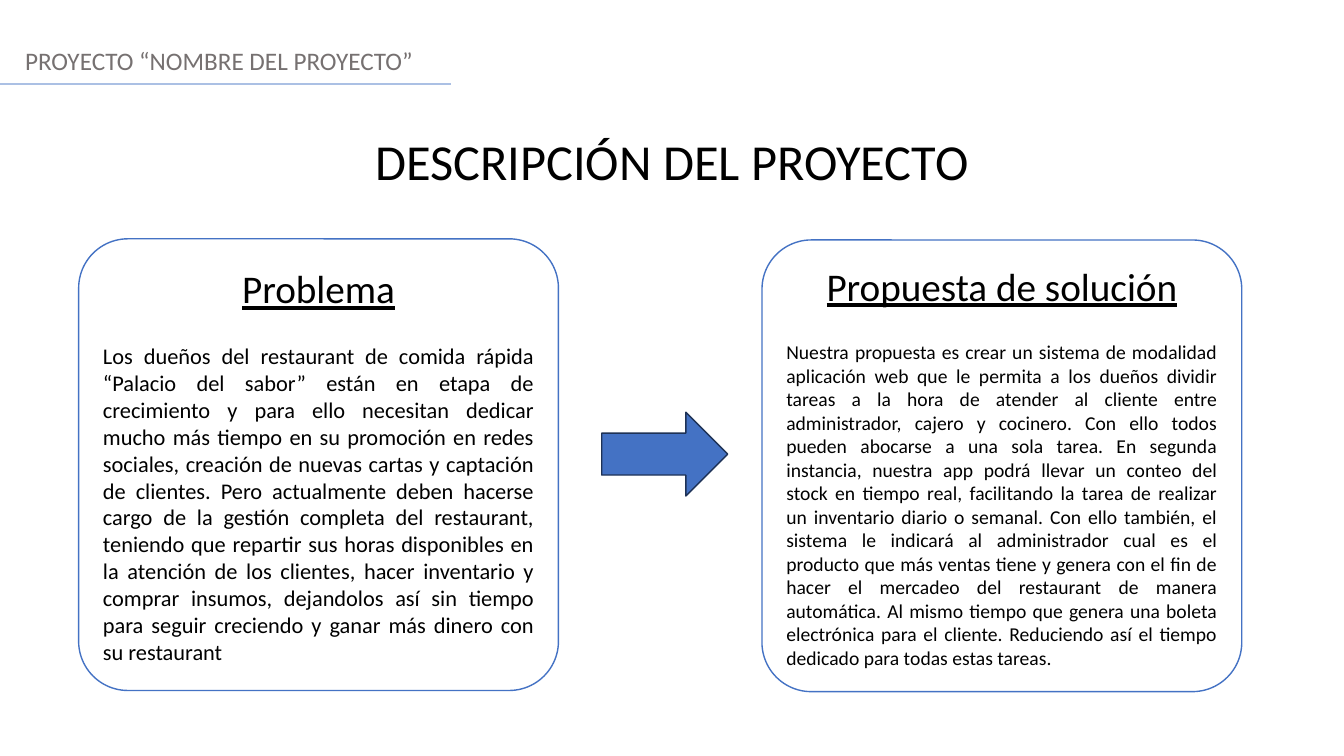
from dataclasses import dataclass

from lxml.etree import SubElement
from pptx import Presentation
from pptx.dml.color import RGBColor
from pptx.enum.shapes import MSO_CONNECTOR, MSO_SHAPE
from pptx.enum.text import MSO_ANCHOR, PP_ALIGN
from pptx.oxml.ns import qn
from pptx.shapes.autoshape import Shape
from pptx.slide import Slide
from pptx.text.text import TextFrame
from pptx.util import Pt

FONT = "Calibri"
BLACK = "000000"
WHITE = "FFFFFF"
GRAY = "767171"
BLUE = "4472C4"
DARK_BLUE = "1E3256"
LIGHT_BLUE = "ABC0E4"
CARD_WIDTH, CARD_HEIGHT = 342.7, 322.6
CARD_ROUNDING = 0.109
BODY_GAP = 22


@dataclass(frozen=True)
class Box:
    left: float
    top: float
    width: float
    height: float


@dataclass(frozen=True)
class Line:
    text: str
    size: float
    color: str = BLACK
    align: PP_ALIGN = PP_ALIGN.LEFT
    underline: bool = False
    space_before: float = 0


@dataclass(frozen=True)
class Card:
    left: float
    top: float
    heading: str
    body: str
    body_size: float


CARDS = [
    Card(
        56.2, 170.6, "Problema",
        "Los dueños del restaurant de comida rápida “Palacio del sabor” están en etapa de "
        "crecimiento y para ello necesitan dedicar mucho más tiempo en su promoción en redes "
        "sociales, creación de nuevas cartas y captación de clientes. Pero actualmente deben "
        "hacerse cargo de la gestión completa del restaurant, teniendo que repartir sus horas "
        "disponibles en la atención de los clientes, hacer inventario y comprar insumos, "
        "dejandolos así sin tiempo para seguir creciendo y ganar más dinero con su restaurant",
        16,
    ),
    Card(
        544.3, 171.4, "Propuesta de solución",
        "Nuestra propuesta es crear un sistema de modalidad aplicación web que le permita a los "
        "dueños dividir tareas a la hora de atender al cliente entre administrador, cajero y "
        "cocinero. Con ello todos pueden abocarse a una sola tarea. En segunda instancia, nuestra "
        "app podrá llevar un conteo del stock en tiempo real, facilitando la tarea de realizar un "
        "inventario diario o semanal. Con ello también, el sistema le indicará al administrador "
        "cual es el producto que más ventas tiene y genera con el fin de hacer el mercadeo del "
        "restaurant de manera automática. Al mismo tiempo que genera una boleta electrónica para "
        "el cliente. Reduciendo así el tiempo dedicado para todas estas tareas.",
        14,
    ),
]


def rgb(color: str) -> RGBColor:
    return RGBColor.from_string(color)


def write_lines(frame: TextFrame, lines: list[Line]) -> None:
    frame.word_wrap = True
    for index, line in enumerate(lines):
        paragraph = frame.add_paragraph() if index else frame.paragraphs[0]
        paragraph.alignment = line.align
        if line.space_before:
            paragraph.space_before = Pt(line.space_before)
        run = paragraph.add_run()
        run.text = line.text
        run.font.name = FONT
        run.font.size = Pt(line.size)
        run.font.underline = line.underline
        run.font.color.rgb = rgb(line.color)


def add_label(slide: Slide, box: Box, line: Line) -> None:
    label = slide.shapes.add_textbox(Pt(box.left), Pt(box.top), Pt(box.width), Pt(box.height))
    write_lines(label.text_frame, [line])


def add_figure(slide: Slide, kind: MSO_SHAPE, box: Box, fill: str, outline: str) -> Shape:
    shape = slide.shapes.add_shape(kind, Pt(box.left), Pt(box.top), Pt(box.width), Pt(box.height))
    shape.shadow.inherit = False
    shape.fill.solid()
    shape.fill.fore_color.rgb = rgb(fill)
    shape.line.color.rgb = rgb(outline)
    shape.line.width = Pt(1)
    return shape


def add_card(slide: Slide, card: Card) -> None:
    box = Box(card.left, card.top, CARD_WIDTH, CARD_HEIGHT)
    shape = add_figure(slide, MSO_SHAPE.ROUNDED_RECTANGLE, box, WHITE, BLUE)
    shape.adjustments[0] = CARD_ROUNDING
    shape.text_frame.vertical_anchor = MSO_ANCHOR.MIDDLE
    write_lines(shape.text_frame, [
        Line(card.heading, 28, align=PP_ALIGN.CENTER, underline=True),
        Line(card.body, card.body_size, align=PP_ALIGN.JUSTIFY, space_before=BODY_GAP),
    ])


def add_header_rule(slide: Slide, top: float, width: float) -> None:
    rule = slide.shapes.add_connector(MSO_CONNECTOR.STRAIGHT, Pt(0), Pt(top), Pt(width), Pt(top))
    rule.line.color.rgb = rgb(LIGHT_BLUE)
    rule.line.width = Pt(1.25)
    SubElement(rule.element.spPr, qn("a:effectLst"))


def main() -> None:
    presentation = Presentation()
    presentation.slide_width, presentation.slide_height = Pt(960), Pt(540)
    slide = presentation.slides.add_slide(presentation.slide_layouts[6])

    add_label(slide, Box(10.8, 28.8, 960, 28.8), Line("PROYECTO “NOMBRE DEL PROYECTO”", 18, GRAY))
    add_label(slide, Box(0, 89.3, 960, 51.1),
              Line("DESCRIPCIÓN DEL PROYECTO", 36, align=PP_ALIGN.CENTER))
    add_header_rule(slide, 59.8, 321.8)
    for card in CARDS:
        add_card(slide, card)
    add_figure(slide, MSO_SHAPE.RIGHT_ARROW, Box(429.8, 294.5, 90, 59.8), BLUE, DARK_BLUE)

    presentation.save("out.pptx")


if __name__ == "__main__":
    main()
